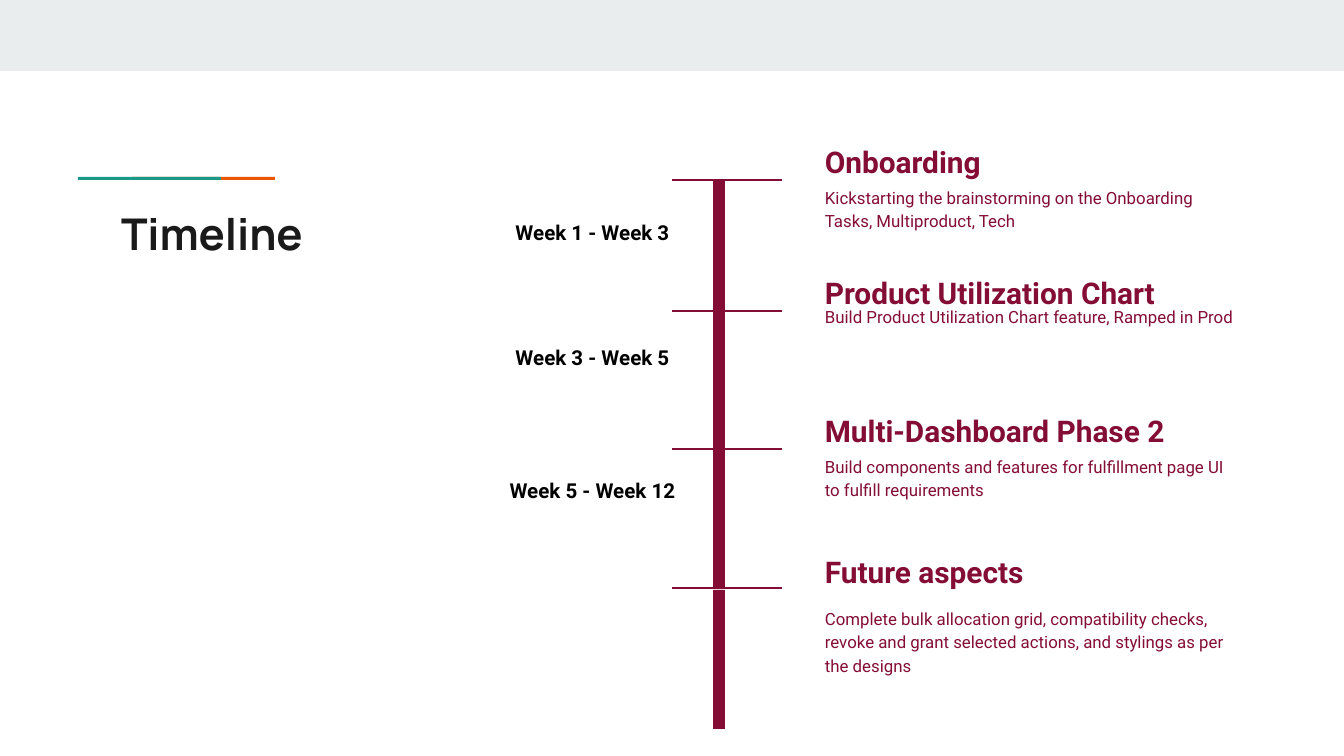
from dataclasses import dataclass

from lxml import etree
from pptx import Presentation
from pptx.dml.color import RGBColor
from pptx.enum.shapes import MSO_CONNECTOR, MSO_SHAPE
from pptx.enum.text import MSO_ANCHOR, PP_ALIGN
from pptx.oxml.ns import qn
from pptx.util import Pt

RECT = MSO_SHAPE.RECTANGLE
STRAIGHT = MSO_CONNECTOR.STRAIGHT
TOP, MIDDLE = MSO_ANCHOR.TOP, MSO_ANCHOR.MIDDLE
LEFT, CENTER = PP_ALIGN.LEFT, PP_ALIGN.CENTER

SLIDE_W, SLIDE_H = 1344, 756
EMU_PER_PX = 914400 / 134.4


@dataclass(frozen=True)
class Theme:
    band: str = "E9EDEE"
    teal: str = "1A9988"
    orange: str = "EB5600"
    ink: str = "1A1A1A"
    black: str = "000000"
    maroon: str = "840D35"
    title_font: str = "Manrope"
    body_font: str = "Roboto"
    title_size: float = 23.4
    heading_size: float = 16
    detail_size: float = 9
    week_size: float = 11
    rule_width: float = 0.75
    line_spacing: float = 1.15
    space_after: float = 43


THEME = Theme()

# Top of each stage's bar, its heading and its detail
STAGES = [
    (180, "Onboarding",
     "Kickstarting the brainstorming on the Onboarding Tasks, Multiproduct, Tech"),
    (311, "Product Utilization Chart",
     "Build Product Utilization Chart feature, Ramped in Prod"),
    (449, "Multi-Dashboard Phase 2",
     "Build components and features for fulfillment page UI to fulfill requirements"),
    (590, "Future aspects",
     "Complete bulk allocation grid, compatibility checks, revoke and grant "
     "selected actions, and stylings as per the designs"),
]
WEEKS = [(202, "Week 1 - Week 3"), (327, "Week 3 - Week 5"), (460, "Week 5 - Week 12")]


def px(length):
    return round(length * EMU_PER_PX)


def add_bar(slide, box, color):
    bar = slide.shapes.add_shape(RECT, *map(px, box))
    bar.shadow.inherit = False
    bar.fill.solid()
    bar.fill.fore_color.rgb = RGBColor.from_string(color)
    bar.line.fill.background()


def add_rule(slide, left, right, y):
    rule = slide.shapes.add_connector(STRAIGHT, px(left), px(y), px(right), px(y))
    rule.line.color.rgb = RGBColor.from_string(THEME.maroon)
    rule.line.width = Pt(THEME.rule_width)
    etree.SubElement(rule._element.spPr, qn("a:effectLst"))


def add_text(slide, box, text, size, color, bold=True, font=THEME.body_font,
             inset=36, align=LEFT, anchor=TOP, spacing=THEME.line_spacing, after=0):
    frame = slide.shapes.add_textbox(*map(px, box)).text_frame
    frame.word_wrap = True
    frame.vertical_anchor = anchor
    frame.margin_left = frame.margin_right = px(inset)
    frame.margin_top = frame.margin_bottom = px(inset)
    paragraph = frame.paragraphs[0]
    paragraph.text = text
    paragraph.alignment = align
    paragraph.line_spacing = spacing
    paragraph.space_after = Pt(after)
    paragraph.font.name = font
    paragraph.font.size = Pt(size)
    paragraph.font.bold = bold
    paragraph.font.color.rgb = RGBColor.from_string(color)


def add_title(slide, left, top, width, height):
    # Two-tone accent above the title
    accent_w, accent_h = 143, 3
    add_bar(slide, (left + 54, top, accent_w, accent_h), THEME.orange)
    add_bar(slide, (left, top, accent_w, accent_h), THEME.teal)
    add_text(slide, (left + 30, top + 17, width - 30, height - 17), "Timeline",
             THEME.title_size, THEME.ink, font=THEME.title_font, inset=13,
             anchor=MIDDLE, spacing=1.0)


def add_stage(slide, left, top, width, height, heading, detail, rule_offset):
    # Spine segment and tick
    add_bar(slide, (left + 41, top, 12, height), THEME.maroon)
    add_rule(slide, left, left + 110, top + rule_offset)
    # Heading and detail
    text_left = left + 117
    add_text(slide, (text_left, top - 62, width - 117, 67), heading,
             THEME.heading_size, THEME.maroon)
    add_text(slide, (text_left, top - 19, 483, 85), detail,
             THEME.detail_size, THEME.maroon, bold=False, after=THEME.space_after)


def add_week(slide, left, top, width, height, label):
    add_text(slide, (left, top, width, height), label, THEME.week_size,
             THEME.black, align=CENTER, after=THEME.space_after)


def main():
    deck = Presentation()
    deck.slide_width, deck.slide_height = px(SLIDE_W), px(SLIDE_H)
    slide = deck.slides.add_slide(deck.slide_layouts[6])

    # Header band and title
    add_bar(slide, (0, 0, SLIDE_W, 71), THEME.band)
    add_title(slide, 78, 177, 292, 96)

    # Timeline; the last tick sits just above its bar
    for top, heading, detail in STAGES:
        rule_offset = -2 if top == STAGES[-1][0] else 0
        add_stage(slide, 672, top, 651, 139, heading, detail, rule_offset)
    for top, label in WEEKS:
        add_week(slide, 473, top, 239, 55, label)

    deck.save("out.pptx")


if __name__ == "__main__":
    main()
